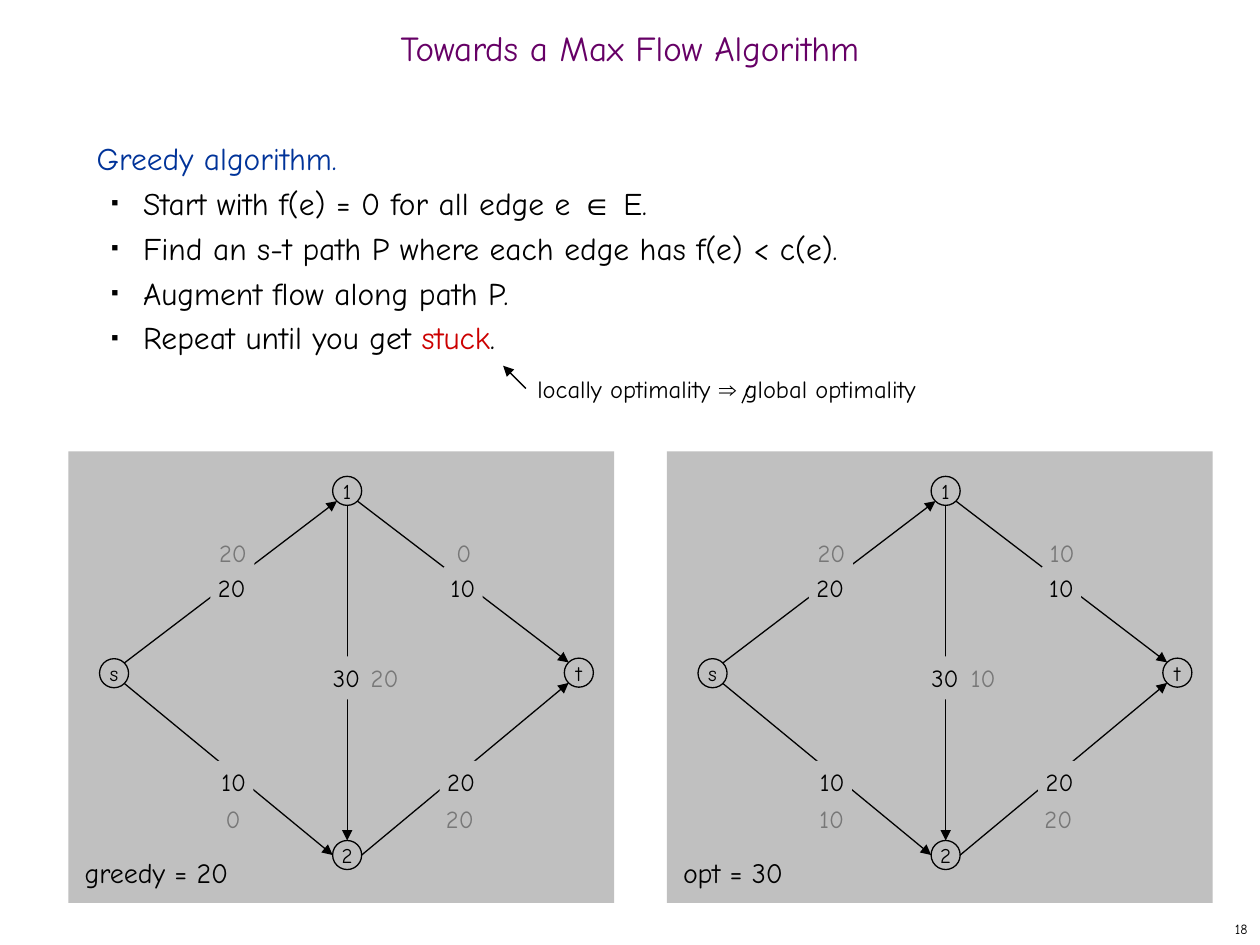
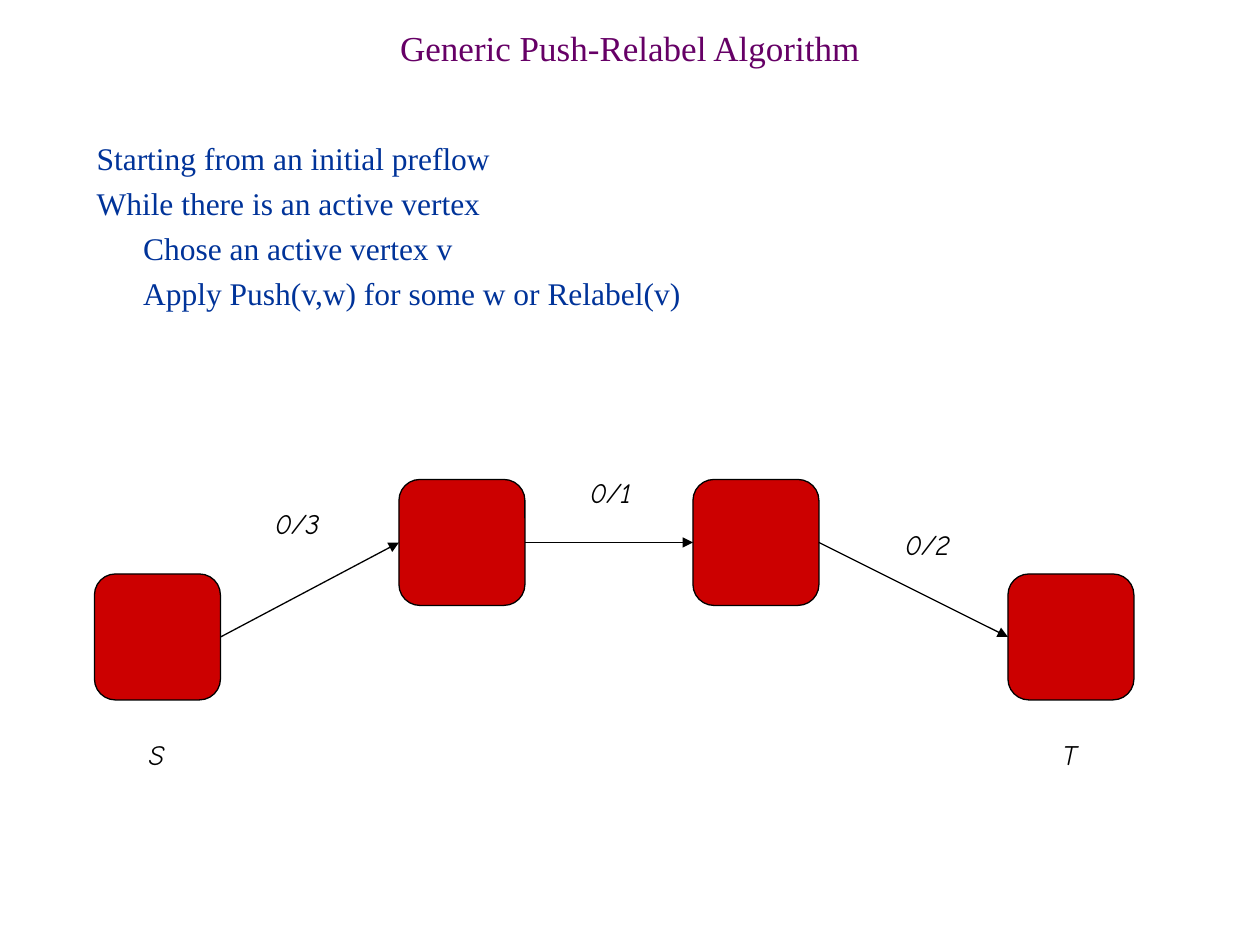
"""Build two slides on max flow algorithms."""
from math import cos, radians, sin

from lxml.etree import SubElement
from pptx import Presentation
from pptx.dml.color import RGBColor
from pptx.enum.shapes import MSO_CONNECTOR, MSO_SHAPE
from pptx.enum.text import MSO_ANCHOR, MSO_AUTO_SIZE, PP_ALIGN
from pptx.oxml.ns import qn
from pptx.util import Pt

COMIC, TIMES, ARIAL = "Comic Neue", "Times New Roman", "Arial"
BLACK, GREY, PALE = "000000", "777777", "C0C0C0"
PLUM, BLUE, RED = "660066", "003399", "CC0000"

STEPS = [
    [("Start with f(e) = 0 for all edge e ", {}), ("∈", {"font": ARIAL}), (" E.", {})],
    "Find an s-t path P where each edge has f(e) < c(e).",
    "Augment flow along path P.",
    [("Repeat until you get ", {}), ("stuck", {"color": RED}), (".", {})],
]
NOTE = [("locally optimality ", {}), ("⇒", {"font": ARIAL}), (" global optimality", {})]
CODE = [
    ("Starting from an initial preflow", 0),
    ("While there is an active vertex", 0),
    ("Chose an active vertex v", 26.6),
    ("Apply Push(v,w) for some w or Relabel(v)", 26.6),
]

PANEL = (312, 258)
NODES = {"s": (26.2, 126.7), "1": (159.4, 22.5), "2": (159.4, 230.6), "t": (291.8, 126.4)}
RADIUS = 8.3
EDGES = [
    ("s", -45, "1", 135, "20", (93.5, 78.2), (94.2, 58)),
    ("1", 45, "t", -135, "10", (225.6, 78.2), (226, 58)),
    ("s", 45, "2", 180, "10", (94.6, 189.1), (94.2, 210)),
    ("2", 0, "t", 135, "20", (224.5, 189.1), (223.8, 210)),
    ("1", 90, "2", -90, "30", (159, 129.4), (180.8, 129.4)),
]
FLOWS = [
    (39, "greedy = 20", ["20", "0", "0", "20", "20"]),
    (381, "opt = 30", ["20", "10", "10", "20", "10"]),
]
WIDTHS = {"0": 15.8, "10": 22.3, "20": 24.5, "30": 24.5}

SIDE = 72
CHAIN = [(54, 328), (228, 274), (396, 274), (576, 328)]
TAGS = [
    ("0/3", 150, 286, 42), ("0/1", 330, 268, 40), ("0/2", 510, 298, 42),
    ("S", 78, 418, 25), ("T", 600, 418, 25),
]


def rgb(code):
    """Turn a hex string into a colour."""
    return RGBColor.from_string(code)


def write(para, text, font=COMIC, size=18, color=BLACK, italic=False, align=None, gap=None):
    """Fill a paragraph with a string or a list of (string, changes) runs."""
    para.space_before = Pt(0)
    if align:
        para.alignment = align
    if gap:
        para.line_spacing = gap
    for part, diff in [(text, {})] if isinstance(text, str) else text:
        look = {"font": font, "color": color, **diff}
        run = para.add_run()
        run.text = part
        run.font.name = look["font"]
        run.font.size = Pt(size)
        run.font.italic = italic
        run.font.color.rgb = rgb(look["color"])


def place(shape, box):
    """Set the place and size of a shape in points."""
    shape.left, shape.top, shape.width, shape.height = map(Pt, box)


def frame(shape, pad=(7.2, 3.6), anchor=MSO_ANCHOR.TOP, wrap=False):
    """Set insets, anchor and wrapping, and return the text frame."""
    area = shape.text_frame
    area.auto_size = MSO_AUTO_SIZE.NONE
    area.word_wrap = wrap
    area.vertical_anchor = anchor
    area.margin_left = area.margin_right = Pt(pad[0])
    area.margin_top = area.margin_bottom = Pt(pad[1])
    return area


def label(slide, text, box, pad=(7.2, 3.6), anchor=MSO_ANCHOR.TOP, **look):
    """Add a text box with one paragraph."""
    area = frame(slide.shapes.add_textbox(*map(Pt, box)), pad, anchor)
    write(area.paragraphs[0], text, **look)


def draw(slide, kind, box, fill, line=None):
    """Add a flat preset shape."""
    shape = slide.shapes.add_shape(kind, *map(Pt, box))
    shape.shadow.inherit = False
    shape.fill.solid()
    shape.fill.fore_color.rgb = rgb(fill)
    if line:
        shape.line.color.rgb = rgb(line)
        shape.line.width = Pt(0.75)
    else:
        shape.line.fill.background()
    return shape


def link(slide, start, end, head=True):
    """Add a straight black line, with an arrowhead if asked."""
    line = slide.shapes.add_connector(MSO_CONNECTOR.STRAIGHT, *map(Pt, (*start, *end)))
    line.line.color.rgb = rgb(BLACK)
    line.line.width = Pt(0.75)
    if head:
        SubElement(line.line._get_or_add_ln(), qn("a:tailEnd"), type="triangle")
    SubElement(line._element.spPr, qn("a:effectLst"))
    return line


def mark(para, left=0, hang=0, sign=None):
    """Set the indent and bullet of a paragraph."""
    props = para._p.get_or_add_pPr()
    props.set("marL", str(Pt(left)))
    props.set("indent", str(Pt(-hang)))
    if sign:
        tint = SubElement(props, qn("a:buClr"))
        SubElement(tint, qn("a:srgbClr"), val=BLACK)
        SubElement(props, qn("a:buSzPct"), val="35000")
        SubElement(props, qn("a:buChar"), char=sign)
    else:
        SubElement(props, qn("a:buNone"))


def start(deck, title, font, rows, high):
    """Add a slide with its title and body rows of (text, indent, look)."""
    slide = deck.slides.add_slide(deck.slide_layouts[1])
    head, body = slide.placeholders
    place(head, (0, 12, 720, 36))
    area = frame(head, anchor=MSO_ANCHOR.MIDDLE, wrap=True)
    write(area.paragraphs[0], title, font=font, size=20, color=PLUM,
          align=PP_ALIGN.CENTER, gap=0.7)
    place(body, (48, 72, 618, high))
    area = frame(body, wrap=True)
    for i, (text, dent, look) in enumerate(rows):
        para = area.add_paragraph() if i else area.paragraphs[0]
        mark(para, **dent)
        write(para, text, font=font, gap=Pt(25.6), **look)
    return slide


def rim(name, turn, x, y):
    """Find the point on a node's circle at an angle in degrees."""
    cx, cy = NODES[name]
    return x + cx + RADIUS * cos(radians(turn)), y + cy + RADIUS * sin(radians(turn))


def value(slide, text, spot, x, y, color):
    """Add an edge number on a patch that hides the line."""
    wide, high = WIDTHS[text], 24.5
    box = (x + spot[0] - wide / 2, y + spot[1] - high / 2, wide, high)
    patch = draw(slide, MSO_SHAPE.RECTANGLE, box, PALE)
    if spot == EDGES[3][-1]:
        patch.fill.background()
    area = frame(patch, (3.6, 3.6))
    write(area.paragraphs[0], text, size=14, color=color, align=PP_ALIGN.CENTER)


def graph(slide, x, y, name, flows):
    """Draw one flow network on its panel."""
    draw(slide, MSO_SHAPE.RECTANGLE, (x, y, *PANEL), PALE)
    label(slide, name, (x - 1.5, y + 223.7, 132, 34), (10.8, 7.2), size=16)
    for node, (cx, cy) in NODES.items():
        box = (x + cx - RADIUS, y + cy - RADIUS, 2 * RADIUS, 2 * RADIUS)
        disc = draw(slide, MSO_SHAPE.OVAL, box, PALE, BLACK)
        area = frame(disc, anchor=MSO_ANCHOR.MIDDLE)
        write(area.paragraphs[0], node, size=12, align=PP_ALIGN.CENTER)
    for a, out, b, into, *_ in EDGES:
        link(slide, rim(a, out, x, y), rim(b, into, x, y))
    for *_, cap, spot, _ in EDGES:
        value(slide, cap, spot, x, y, BLACK)
    for edge, flow in zip(EDGES, flows):
        value(slide, flow, edge[-1], x, y, GREY)


def greedy(deck):
    """Build the greedy algorithm slide."""
    dent = {"left": 26.6, "hang": 18, "sign": "■"}
    rows = [("Greedy algorithm.", {}, {"color": BLUE})]
    rows += [(step, dent, {}) for step in STEPS]
    slide = start(deck, "Towards a Max Flow Algorithm", COMIC, rows, 426)
    label(slide, "18", (570, 522, 150, 18), anchor=MSO_ANCHOR.MIDDLE,
          size=8, align=PP_ALIGN.RIGHT)
    for x, name, flows in FLOWS:
        graph(slide, x, 258, name, flows)
    label(slide, NOTE, (300, 210, 255, 24), size=14)
    link(slide, (300.5, 222), (287.5, 209))
    link(slide, (428.4, 220.3), (424, 230.4), head=False)


def push(deck):
    """Build the push-relabel slide."""
    rows = [(text, {"left": left}, {"color": BLUE}) for text, left in CODE]
    slide = start(deck, "Generic Push-Relabel Algorithm", TIMES, rows, 201)
    boxes = [draw(slide, MSO_SHAPE.ROUNDED_RECTANGLE, (x, y, SIDE, SIDE), RED, BLACK)
             for x, y in CHAIN]
    for a, b in zip(boxes, boxes[1:]):
        line = link(slide, (0, 0), (0, 0))
        line.begin_connect(a, 3)
        line.end_connect(b, 1)
    for text, x, y, wide in TAGS:
        label(slide, text, (x, y, wide, 27), size=16, italic=True)


def main():
    """Build and save the deck."""
    deck = Presentation()
    deck.slide_width, deck.slide_height = Pt(720), Pt(540)
    greedy(deck)
    push(deck)
    deck.save("out.pptx")


if __name__ == "__main__":
    main()
